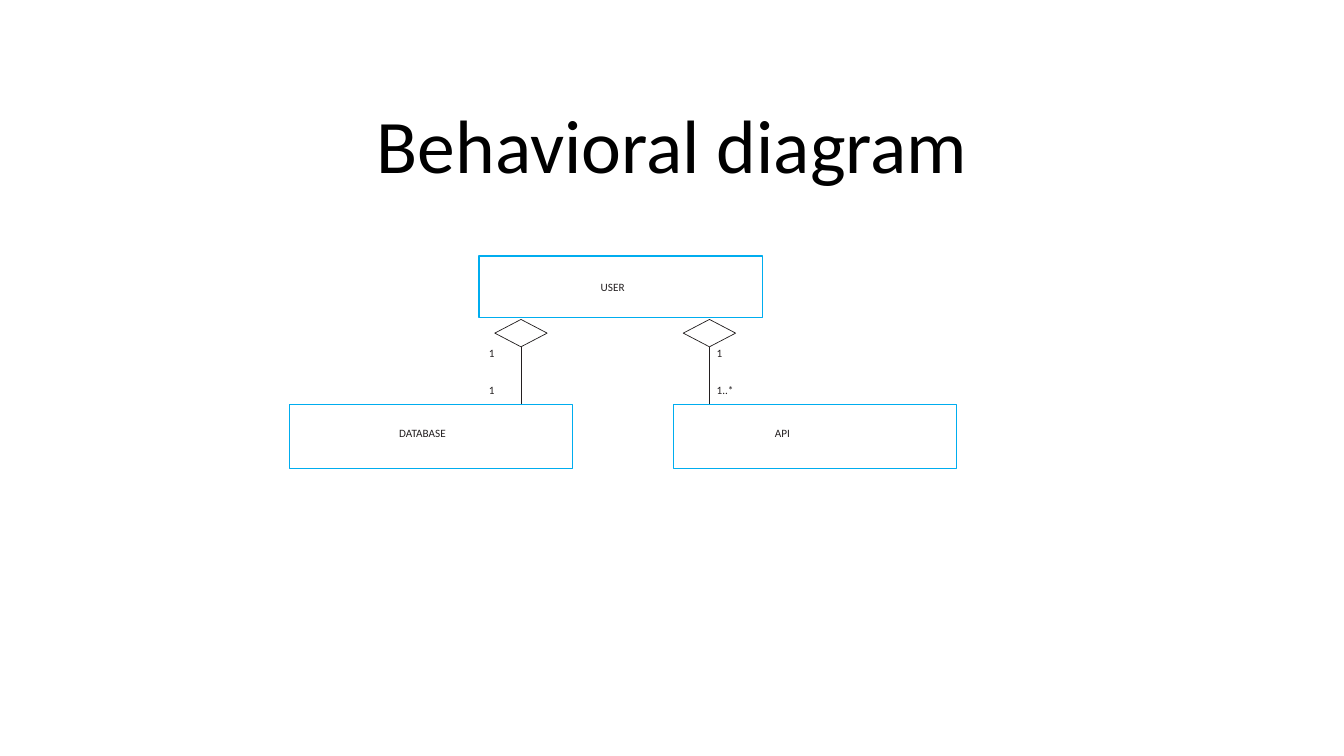
from pptx import Presentation
from pptx import util as u
from pptx.dml.color import RGBColor
from pptx.enum import shapes, text
from pptx.oxml import parse_xml
from pptx.oxml.ns import nsdecls

TITLE = "Behavioral diagram"
INK, BLUE, WHITE = "231F20", "00ADEF", "FFFFFF"
BOX_W = 7.14
BOXES = [
    ("USER", 12.07, 6.45, 1.55, 3.07, 0.59),
    ("DATABASE", 7.29, 10.19, 1.61, 2.77, 0.53),
    ("API", 16.97, 10.19, 1.61, 2.56, 0.53),
]
LINKS = [
    (13.13, 12.32, ("1", "1")),
    (17.88, 18.06, ("1", "1..*")),
]
GEM_W, GEM_H, GEM_TOP = 1.32, 0.69, 8.05
LINK_END = 10.19
COUNT_TOP, COUNT_STEP = 8.71, 0.92

deck = Presentation()
deck.slide_width, deck.slide_height = u.Cm(33.87), u.Cm(19.05)
slide = deck.slides.add_slide(deck.slide_layouts[6])


def color(code):
    return RGBColor.from_string(code)


def write(words, x, y, w, h, size=8, ink=INK, pad=0, space=1.07, after=8,
          align=text.PP_ALIGN.LEFT, anchor=text.MSO_ANCHOR.TOP):
    frame = slide.shapes.add_textbox(u.Cm(x), u.Cm(y), u.Cm(w), u.Cm(h)).text_frame
    frame.word_wrap = True
    frame.vertical_anchor = anchor
    frame.margin_left = frame.margin_right = u.Cm(pad)
    frame.margin_top = frame.margin_bottom = u.Cm(pad / 2)
    para = frame.paragraphs[0]
    para.alignment = align
    para.line_spacing = space
    para.space_after = u.Pt(after)
    run = para.add_run()
    run.text = words
    run.font.name = "Calibri"
    run.font.size = u.Pt(size)
    run.font.color.rgb = color(ink)


def draw(kind, x, y, w, h, line, width, fill=None):
    shape = slide.shapes.add_shape(kind, u.Cm(x), u.Cm(y), u.Cm(w), u.Cm(h))
    shape.shadow.inherit = False
    if fill:
        shape.fill.solid()
        shape.fill.fore_color.rgb = color(fill)
    else:
        shape.fill.background()
    shape.line.color.rgb = color(line)
    shape.line.width = u.Pt(width)


def join(x, top, end):
    link = slide.shapes.add_connector(
        shapes.MSO_CONNECTOR.STRAIGHT, u.Cm(x), u.Cm(top), u.Cm(x), u.Cm(end))
    link.line.color.rgb = color(INK)
    link.line.width = u.Pt(0.5)
    link._element.spPr.append(parse_xml(f"<a:effectLst {nsdecls('a')}/>"))


write(TITLE, 4.24, 3.12, 25.4, 1.8, size=54, ink="000000", pad=0.25, space=0.9,
      after=0, align=text.PP_ALIGN.CENTER, anchor=text.MSO_ANCHOR.BOTTOM)

for mid, left, counts in LINKS:
    join(mid, GEM_TOP + GEM_H, LINK_END)
    draw(shapes.MSO_SHAPE.DIAMOND, mid - GEM_W / 2, GEM_TOP, GEM_W, GEM_H,
         INK, 0.5, fill=WHITE)
    for row, count in enumerate(counts):
        write(count, left, COUNT_TOP + row * COUNT_STEP, 0.81, 0.79)

for name, x, y, h, inset, drop in BOXES:
    draw(shapes.MSO_SHAPE.RECTANGLE, x, y, BOX_W, h, BLUE, 1)
    write(name, x + inset, y + drop, BOX_W - inset, 0.79)

deck.save("out.pptx")
